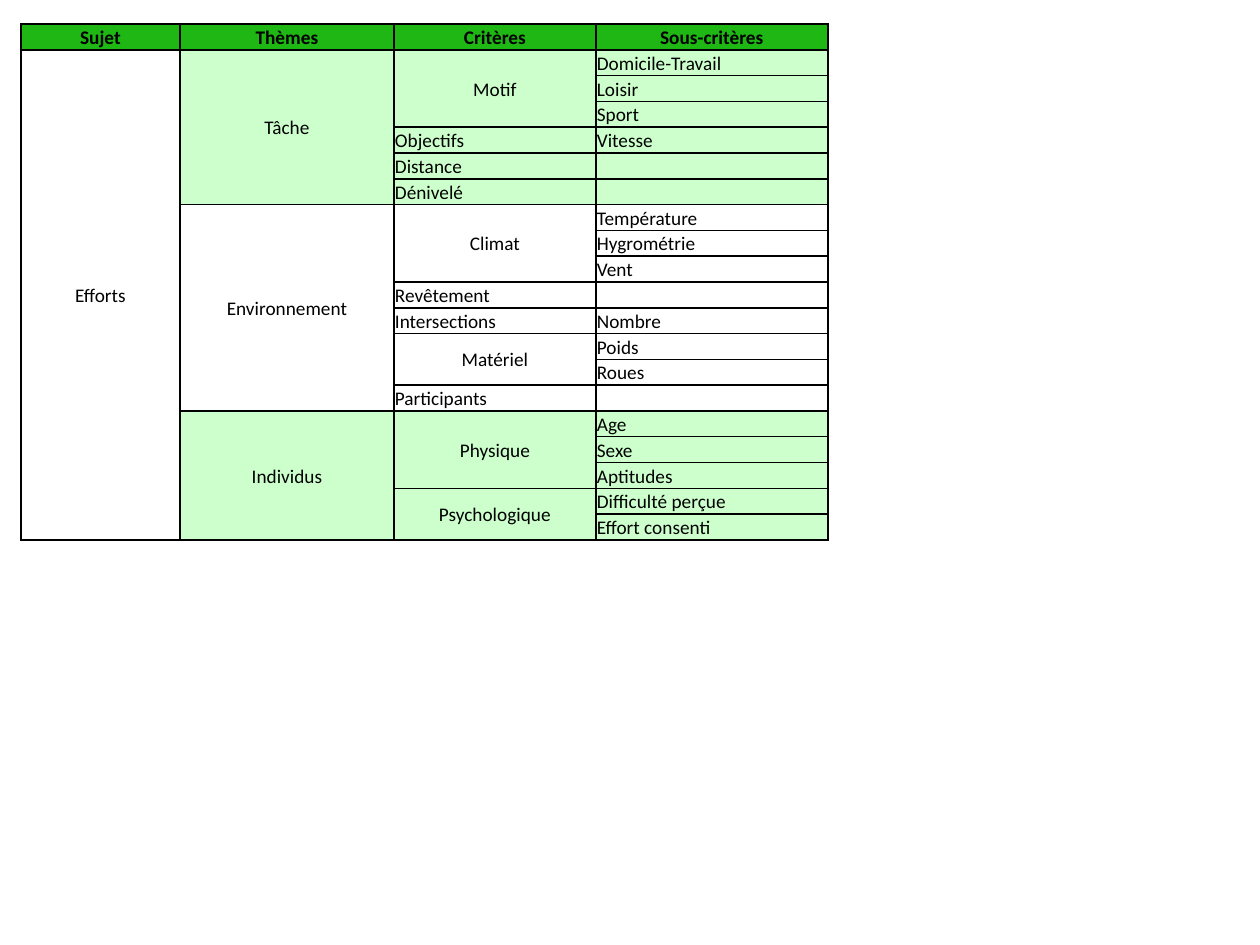
from dataclasses import dataclass

from lxml.etree import SubElement
from pptx import Presentation
from pptx.dml.color import RGBColor
from pptx.enum.text import MSO_ANCHOR as Anchor, PP_ALIGN as Align
from pptx.oxml.ns import qn
from pptx.table import Table, _Cell as Cell
from pptx.util import Emu, Pt

PIXEL = 914400 // 126
COLORS = {"header": "1FB714", "band": "CCFFCC", "ink": "000000"}
FONT, FONT_SIZE = "Calibri", Pt(11)
LEFT, TOP, HEIGHT = 21, 24, 496
COLUMN_WIDTHS = [159, 214, 202, 232]
ROW_HEIGHT = 18


def px(pixels: int) -> Emu:
    return Emu(pixels * PIXEL)


@dataclass
class Criterion:
    name: str
    details: tuple[str, ...] = ("",)


@dataclass
class Theme:
    name: str
    fill: str | None
    criteria: list[Criterion]

    def row_count(self) -> int:
        return sum(len(criterion.details) for criterion in self.criteria)


HEADERS = ["Sujet", "Thèmes", "Critères", "Sous-critères"]
SUBJECT = "Efforts"
THEMES = [
    Theme("Tâche", "band", [
        Criterion("Motif", ("Domicile-Travail", "Loisir", "Sport")),
        Criterion("Objectifs", ("Vitesse",)),
        Criterion("Distance"),
        Criterion("Dénivelé"),
    ]),
    Theme("Environnement", None, [
        Criterion("Climat", ("Température", "Hygrométrie", "Vent")),
        Criterion("Revêtement"),
        Criterion("Intersections", ("Nombre",)),
        Criterion("Matériel", ("Poids", "Roues")),
        Criterion("Participants"),
    ]),
    Theme("Individus", "band", [
        Criterion("Physique", ("Age", "Sexe", "Aptitudes")),
        Criterion("Psychologique", ("Difficulté perçue", "Effort consenti")),
    ]),
]


def add_borders(cell: Cell) -> None:
    properties = cell._tc.get_or_add_tcPr()
    for position, side in enumerate(("lnL", "lnR", "lnT", "lnB")):
        line = SubElement(properties, qn(f"a:{side}"), w=str(Pt(1)))
        fill = SubElement(line, qn("a:solidFill"))
        SubElement(fill, qn("a:srgbClr"), val=COLORS["ink"])
        properties.insert(position, line)


def fill_cell(cell: Cell, text: str, fill: str | None,
              centered: bool = False, bold: bool = False) -> None:
    cell.margin_left = cell.margin_right = px(1)
    cell.margin_top, cell.margin_bottom = px(2), px(0)
    cell.vertical_anchor = Anchor.MIDDLE if centered and not bold else Anchor.BOTTOM
    if fill:
        cell.fill.solid()
        cell.fill.fore_color.rgb = RGBColor.from_string(COLORS[fill])
    else:
        cell.fill.background()
    add_borders(cell)

    paragraph = cell.text_frame.paragraphs[0]
    paragraph.alignment = Align.CENTER if centered else Align.LEFT
    font = paragraph.font
    font.name, font.size, font.bold = FONT, FONT_SIZE, bold
    font.color.rgb = RGBColor.from_string(COLORS["ink"])
    if text:
        paragraph.add_run().text = text
    else:
        # Keep empty rows as low as the others
        SubElement(paragraph._p, qn("a:endParaRPr"), sz=str(int(FONT_SIZE.pt * 100)))


def fill_group(table: Table, row: int, column: int, count: int,
               text: str, fill: str | None) -> None:
    """Write one label over count rows, merged and centred if more than one."""
    for offset in range(count):
        fill_cell(table.cell(row + offset, column), "" if offset else text,
                  fill, centered=count > 1)
    if count > 1:
        table.cell(row, column).merge(table.cell(row + count - 1, column))


presentation = Presentation()
presentation.slide_width, presentation.slide_height = px(1260), px(945)
slide = presentation.slides.add_slide(presentation.slide_layouts[6])

# Table grid
body_rows = sum(theme.row_count() for theme in THEMES)
frame = slide.shapes.add_table(body_rows + 1, len(HEADERS), px(LEFT), px(TOP),
                               px(sum(COLUMN_WIDTHS)), px(HEIGHT))
table = frame.table
table.first_row = table.horz_banding = False
for column, width in zip(table.columns, COLUMN_WIDTHS):
    column.width = px(width)
for row in table.rows:
    row.height = px(ROW_HEIGHT)
frame.height = px(HEIGHT)

# Header row
for index, header in enumerate(HEADERS):
    fill_cell(table.cell(0, index), header, "header", centered=True, bold=True)

# Subject, themes, criteria and sub-criteria
fill_group(table, 1, 0, body_rows, SUBJECT, None)
current = 1
for theme in THEMES:
    fill_group(table, current, 1, theme.row_count(), theme.name, theme.fill)
    for criterion in theme.criteria:
        fill_group(table, current, 2, len(criterion.details), criterion.name, theme.fill)
        for detail in criterion.details:
            fill_cell(table.cell(current, 3), detail, theme.fill)
            current += 1

presentation.save("out.pptx")
